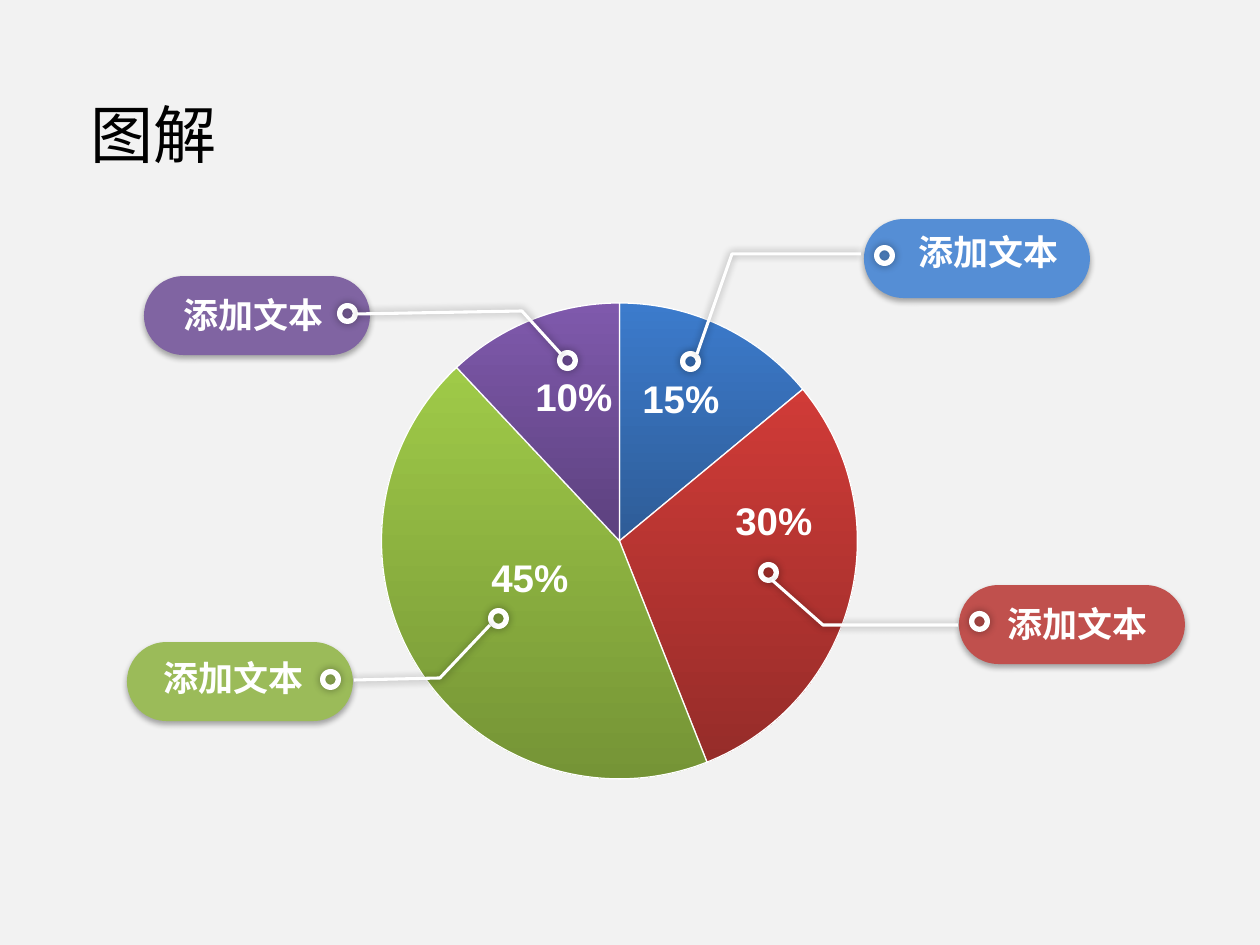
from dataclasses import dataclass

from lxml import etree
from pptx import Presentation
from pptx import util as u
from pptx.chart.data import CategoryChartData
from pptx.dml.color import RGBColor
from pptx.enum import chart as charts, shapes, text
from pptx.oxml import parse_xml
from pptx.oxml.ns import nsdecls, qn

PX = 914400 / 126


@dataclass(frozen=True)
class Theme:
    background: str = "F2F2F2"
    ink: str = "000000"
    white: str = "FFFFFF"
    title_size: int = 36
    percent_size: int = 22
    label_size: int = 20
    chart_size: int = 18
    cjk: str = "Noto Sans CJK SC"
    latin: str = "Arial"
    chart_font: str = "Calibri"


@dataclass(frozen=True)
class Callout:
    percent: str
    color: str
    pill: tuple
    ring_offset: tuple
    label_offset: tuple
    percent_at: tuple
    marker: tuple
    leader: tuple


THEME = Theme()
PILL_SIZE = (226, 79)
LABEL_SIZE = (197, 55)
PERCENT_SIZE = (129, 59)
RING_SIZE = (21, 21)
RING_LEFT, RING_RIGHT = (10, 26), (193, 27)
RING_SHADOW = dict(alpha=40, blur=5, distance=0, direction=0)
PILL_SHADOW = dict(alpha=32, blur=3.5, distance=2.2, direction=90)

SLICES = [
    (14, "3C7BCC", "2E5C97"),
    (30, "D03B37", "962C29"),
    (44, "9FCA48", "759436"),
    (12, "7F59AC", "5C417E"),
]
CALLOUTS = [
    Callout("45%", "9BBB59", (127, 642), RING_RIGHT, (8, 8), (479, 548),
            (488, 608), ((490, 625), (440, 678), (354, 680))),
    Callout("30%", "C0504D", (959, 585), RING_LEFT, (20, 11), (723, 491),
            (758, 562), ((772, 580), (823, 625), (958, 625))),
    Callout("15%", "558ED5", (864, 219), RING_LEFT, (26, 5), (630, 369),
            (680, 351), ((697, 354), (732, 254), (861, 254))),
    Callout("10%", "8064A2", (144, 276), RING_RIGHT, (11, 11), (523, 367),
            (557, 350), ((561, 354), (522, 311), (357, 314))),
]


def emu(*lengths):
    return [u.Emu(round(length * PX)) for length in lengths]


def rgb(value):
    return RGBColor.from_string(value)


def shift(origin, offset):
    return origin[0] + offset[0], origin[1] + offset[1]


def write(shape, content, size, color, font, bold=False, align=text.PP_ALIGN.LEFT):
    frame = shape.text_frame
    frame.word_wrap = True
    frame.auto_size = text.MSO_AUTO_SIZE.NONE
    frame.vertical_anchor = text.MSO_ANCHOR.MIDDLE
    paragraph = frame.paragraphs[0]
    paragraph.alignment = align
    run = paragraph.add_run()
    run.text = content
    run.font.size = u.Pt(size)
    run.font.bold = bold
    run.font.name = font
    run.font.color.rgb = rgb(color)
    properties = run.font._element
    etree.SubElement(properties, qn("a:ea")).set("typeface", font)


def cast_shadow(shape, alpha, blur, distance, direction):
    shape.shadow.inherit = False
    effects = shape._element.spPr.find(qn("a:effectLst"))
    effects.append(parse_xml(
        f'<a:outerShdw {nsdecls("a")} blurRad="{u.Pt(blur)}" dist="{u.Pt(distance)}" '
        f'dir="{direction * 60000}" algn="ctr" rotWithShape="0"><a:srgbClr val="000000">'
        f'<a:alpha val="{alpha * 1000}"/></a:srgbClr></a:outerShdw>'))


def add_solid(slide, kind, origin, size, color, shadow):
    shape = slide.shapes.add_shape(kind, *emu(*origin, *size))
    shape.fill.solid()
    shape.fill.fore_color.rgb = rgb(color)
    shape.line.fill.background()
    cast_shadow(shape, **shadow)
    return shape


def add_ring(slide, origin):
    add_solid(slide, shapes.MSO_SHAPE.DONUT, origin, RING_SIZE, THEME.white, RING_SHADOW)


def add_leader(slide, points):
    builder = slide.shapes.build_freeform(*points[0], scale=PX)
    builder.add_line_segments(points[1:], close=False)
    leader = builder.convert_to_shape()
    leader.fill.background()
    leader.line.color.rgb = rgb(THEME.white)
    leader.line.width = u.Pt(1.75)
    cast_shadow(leader, **RING_SHADOW)


def add_title(slide, box):
    title = slide.shapes.title
    title.left, title.top, title.width, title.height = emu(*box)
    write(title, "图解", THEME.title_size, THEME.ink, THEME.cjk)


def add_pie(slide, box, diameter):
    data = CategoryChartData()
    data.categories = [str(number) for number in range(1, len(SLICES) + 1)]
    data.add_series("Series 1", [value for value, _, _ in SLICES])
    chart = slide.shapes.add_chart(charts.XL_CHART_TYPE.PIE, *emu(*box), data).chart
    chart.has_title = False
    chart.has_legend = False
    chart.font.name = THEME.chart_font
    chart.font.size = u.Pt(THEME.chart_size)
    chart.font.color.rgb = rgb(THEME.ink)
    plot = chart.plots[0]
    plot.vary_by_categories = True
    for index, (_, light, dark) in enumerate(SLICES):
        style = plot.series[0].points[index].format
        style.fill.gradient()
        style.fill.gradient_angle = 270
        for stop, color, position in zip(style.fill.gradient_stops, (light, dark), (0, 1)):
            stop.color.rgb = rgb(color)
            stop.position = position
        style.line.color.rgb = rgb(THEME.white)
        style.line.width = u.Pt(0.75)
    center_plot(chart, diameter / box[2], diameter / box[3])


def center_plot(chart, width, height):
    area = chart._chartSpace.chart.plotArea
    for layout in area.findall(qn("c:layout")):
        area.remove(layout)
    values = dict(x=(1 - width) / 2, y=(1 - height) / 2, w=width, h=height)
    sizes = "".join(f'<c:{key} val="{value:.4f}"/>' for key, value in values.items())
    area.insert(0, parse_xml(
        f'<c:layout {nsdecls("c")}><c:manualLayout><c:layoutTarget val="inner"/>'
        f'<c:xMode val="edge"/><c:yMode val="edge"/>{sizes}</c:manualLayout></c:layout>'))


def add_callout(slide, callout):
    pill = add_solid(slide, shapes.MSO_SHAPE.ROUNDED_RECTANGLE, callout.pill, PILL_SIZE,
                     callout.color, PILL_SHADOW)
    pill.adjustments[0] = 0.5
    add_ring(slide, callout.marker)
    add_ring(slide, shift(callout.pill, callout.ring_offset))
    add_leader(slide, callout.leader)
    percent = slide.shapes.add_textbox(*emu(*callout.percent_at, *PERCENT_SIZE))
    write(percent, callout.percent, THEME.percent_size, THEME.white, THEME.latin, bold=True)
    label_at = shift(callout.pill, callout.label_offset)
    label = slide.shapes.add_textbox(*emu(*label_at, *LABEL_SIZE))
    write(label, "添加文本", THEME.label_size, THEME.white, THEME.cjk, bold=True,
          align=text.PP_ALIGN.CENTER)


def main():
    presentation = Presentation()
    presentation.slide_width, presentation.slide_height = emu(1260, 945)
    slide = presentation.slides.add_slide(presentation.slide_layouts[5])
    slide.background.fill.solid()
    slide.background.fill.fore_color.rgb = rgb(THEME.background)
    add_title(slide, (78, 88, 659, 90))
    add_pie(slide, (236, 285, 767, 512), 476)
    for callout in CALLOUTS:
        add_callout(slide, callout)
    presentation.save("out.pptx")


if __name__ == "__main__":
    main()
